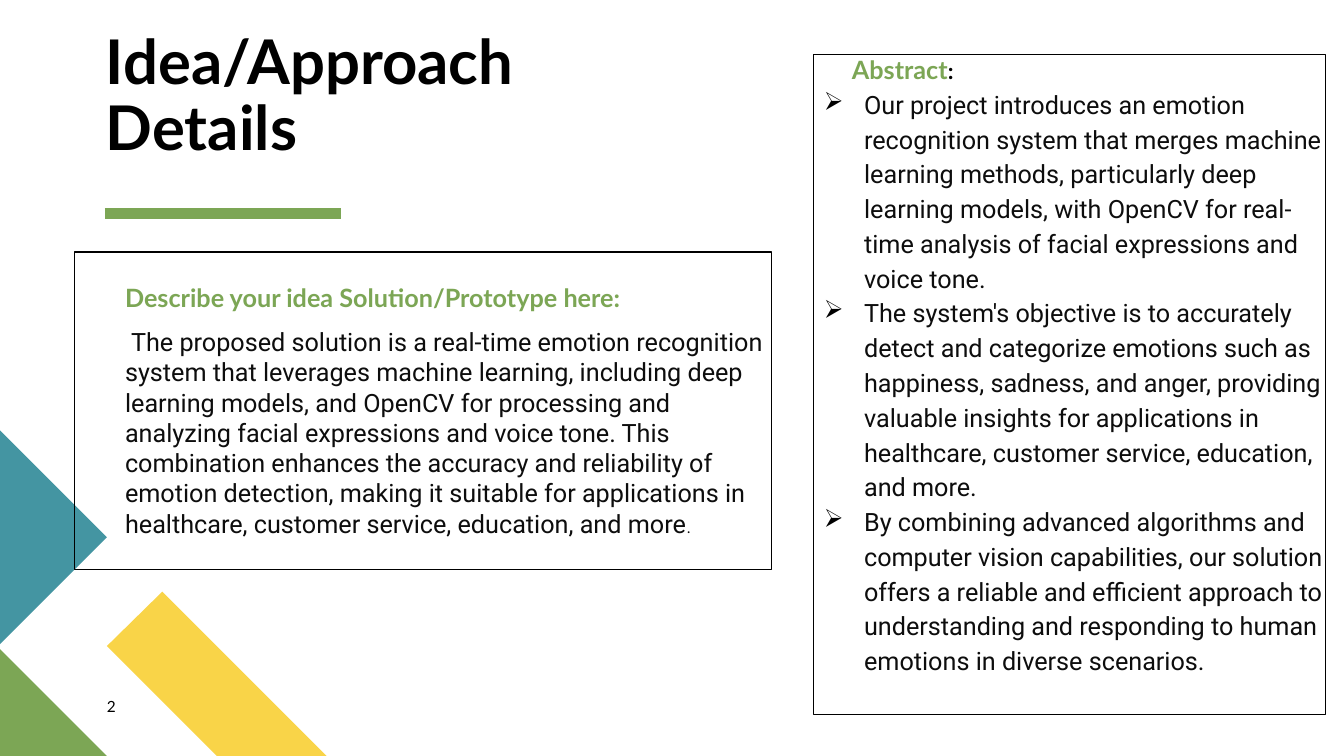
from lxml import etree
from pptx import Presentation
from pptx.dml.color import RGBColor
from pptx.enum.shapes import MSO_CONNECTOR, MSO_SHAPE
from pptx.enum.text import MSO_ANCHOR, PP_ALIGN
from pptx.oxml.ns import qn
from pptx.util import Inches, Pt

COLORS = {
    "yellow": "F9D448",
    "green": "7CA655",
    "teal": "4495A2",
    "black": "000000",
    "body": "0D0D0D",
}


def set_font(font, name, size, color, bold=False):
    font.name, font.size, font.bold = name, Pt(size), bold
    font.color.rgb = RGBColor.from_string(COLORS[color])


def set_frame(shape, anchor=MSO_ANCHOR.TOP, left=0, top=0, right=0):
    frame = shape.text_frame
    frame.word_wrap = True
    frame.vertical_anchor = anchor
    frame.margin_left, frame.margin_top = Inches(left), Inches(top)
    frame.margin_right, frame.margin_bottom = Inches(right), 0
    return frame


presentation = Presentation()
presentation.slide_width, presentation.slide_height = Inches(13.33), Inches(7.5)
slide = presentation.slides.add_slide(presentation.slide_layouts[6])
shapes = slide.shapes

# Corner decoration
corner_pieces = [
    ("yellow", [(3.24, 7.5), (2.15, 7.5), (1.06, 6.41), (1.61, 5.87)]),
    ("green", [(1.06, 7.5), (0, 7.5), (0, 6.44)]),
    ("teal", [(0, 4.27), (1.06, 5.33), (0, 6.39)]),
]
for color, corners in corner_pieces:
    points = [(Inches(x), Inches(y)) for x, y in corners]
    builder = shapes.build_freeform(*points[0])
    builder.add_line_segments(points[1:], close=True)
    piece = builder.convert_to_shape()
    piece.shadow.inherit = False
    piece.fill.solid()
    piece.fill.fore_color.rgb = RGBColor.from_string(COLORS[color])
    piece.line.fill.background()

# Title and its underline
underline = shapes.add_connector(
    MSO_CONNECTOR.STRAIGHT, Inches(1.04), Inches(2.12), Inches(3.38), Inches(2.12))
underline.line.color.rgb = RGBColor.from_string(COLORS["green"])
underline.line.width = Pt(8)
etree.SubElement(underline._element.spPr, qn("a:effectLst"))

title = shapes.add_textbox(Inches(1.05), Inches(0.96), Inches(6.05), Inches(0.67))
paragraph = set_frame(title, MSO_ANCHOR.BOTTOM, right=0.5).paragraphs[0]
paragraph.text = "Idea/Approach Details"
paragraph.line_spacing = 0.9
set_font(paragraph.font, "Lato", 44, "black", True)

# Outlined boxes
boxes = []
for left, top, width, height in [(0.74, 2.5, 6.91, 3.15), (8.07, 0.54, 5.08, 6.55)]:
    box = shapes.add_shape(
        MSO_SHAPE.RECTANGLE, Inches(left), Inches(top), Inches(width), Inches(height))
    box.shadow.inherit = False
    box.fill.background()
    box.line.color.rgb = RGBColor.from_string(COLORS["black"])
    box.line.width = Pt(0.75)
    boxes.append(box)
solution_box, abstract_box = boxes

# Solution text
frame = set_frame(solution_box, left=0.5, top=0.3)
heading = frame.paragraphs[0]
heading.text = "Describe your idea Solution/Prototype here:"
heading.alignment = PP_ALIGN.LEFT
set_font(heading.font, "Lato", 18, "green", True)

solution = frame.add_paragraph()
solution.alignment = PP_ALIGN.LEFT
solution.space_before = Pt(10)
solution._p.get_or_add_pPr().set("indent", str(Inches(0.06)))
solution_runs = [
    ("The proposed solution is a real-time emotion recognition system that leverages "
     "machine learning, including deep learning models, and OpenCV for processing and "
     "analyzing facial expressions and voice tone. This combination enhances the accuracy "
     "and reliability of emotion detection, making it suitable for applications in "
     "healthcare, customer service, education, and more", 18),
    (".", 12),
]
for text, size in solution_runs:
    run = solution.add_run()
    run.text = text
    set_font(run.font, "Roboto", size, "body")

# Abstract heading
frame = set_frame(abstract_box)
heading = frame.paragraphs[0]
heading.alignment = PP_ALIGN.LEFT
heading._p.get_or_add_pPr().set("marL", str(Inches(0.38)))
for text, size, color in [("Abstract", 18, "green"), (":", 16, "black")]:
    run = heading.add_run()
    run.text = text
    set_font(run.font, "Lato", size, color, True)

# Abstract bullets
abstract_points = [
    "Our project introduces an emotion recognition system that merges machine learning "
    "methods, particularly deep learning models, with OpenCV for real-time analysis of "
    "facial expressions and voice tone.",
    "The system's objective is to accurately detect and categorize emotions such as "
    "happiness, sadness, and anger, providing valuable insights for applications in "
    "healthcare, customer service, education, and more.",
    "By combining advanced algorithms and computer vision capabilities, our solution "
    "offers a reliable and efficient approach to understanding and responding to human "
    "emotions in diverse scenarios.",
]
for text in abstract_points:
    paragraph = frame.add_paragraph()
    paragraph.text = text
    paragraph.alignment = PP_ALIGN.LEFT
    paragraph.line_spacing = 1.15
    properties = paragraph._p.get_or_add_pPr()
    properties.set("marL", str(Inches(0.5)))
    properties.set("indent", str(Inches(-0.4)))
    bullet_color = etree.SubElement(properties, qn("a:buClr"))
    etree.SubElement(bullet_color, qn("a:srgbClr")).set("val", COLORS["black"])
    # Ø is the arrowhead in Wingdings
    bullet_font = etree.SubElement(properties, qn("a:buFont"))
    bullet_font.set("typeface", "Wingdings")
    bullet_font.set("charset", "2")
    etree.SubElement(properties, qn("a:buChar")).set("char", "Ø")
    set_font(paragraph.font, "Roboto", 18, "body")

# Slide number
number = shapes.add_textbox(Inches(1.06), Inches(6.92), Inches(0.57), Inches(0.27))
paragraph = set_frame(number).paragraphs[0]
paragraph.text = "2"
set_font(paragraph.font, "Lato", 11, "black")

presentation.save("out.pptx")
